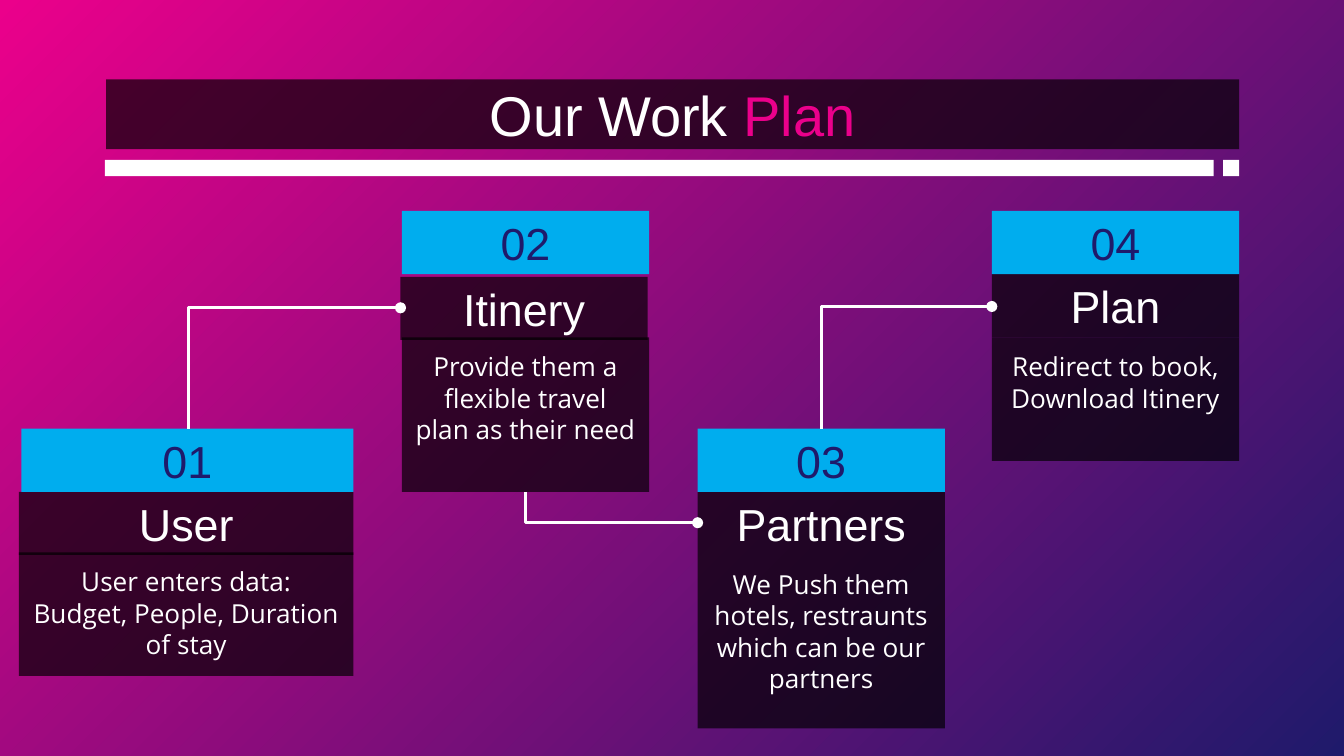
from lxml.etree import SubElement
from pptx import Presentation
from pptx.dml.color import RGBColor
from pptx.enum.shapes import MSO_CONNECTOR, MSO_SHAPE
from pptx.enum.text import MSO_ANCHOR, PP_ALIGN
from pptx.oxml.ns import qn
from pptx.util import Inches, Pt

COLORS = {"pink": "EB008B", "navy": "1F1A6B", "blue": "00ADEE", "white": "FFFFFF", "black": "000000"}


def add_box(left, top, width, height, fill, alpha=None):
    box = slide.shapes.add_shape(
        MSO_SHAPE.RECTANGLE, Inches(left), Inches(top), Inches(width), Inches(height))
    box.shadow.inherit = False
    box.line.fill.background()
    box.fill.solid()
    box.fill.fore_color.rgb = RGBColor.from_string(COLORS[fill])
    if alpha:
        color = box.fill._xPr.find(qn("a:solidFill"))[0]
        SubElement(color, qn("a:alpha")).set("val", str(alpha * 1000))
    return box


def write_text(box, lines, size, font="Arial", color="white", anchor=MSO_ANCHOR.MIDDLE):
    frame = box.text_frame
    frame.word_wrap = True
    frame.vertical_anchor = anchor
    frame.margin_left = frame.margin_right = Inches(0.1)
    frame.margin_top = frame.margin_bottom = Inches(0.1)
    frame.text = lines
    for para in frame.paragraphs:
        para.alignment = PP_ALIGN.CENTER
        for span in para.runs:
            span.font.size = Pt(size)
            span.font.name = font
            span.font.color.rgb = RGBColor.from_string(COLORS[color])


deck = Presentation()
deck.slide_width = Inches(10)
deck.slide_height = Inches(10) * 9 // 16
slide = deck.slides.add_slide(deck.slide_layouts[6])

background = slide.background.fill
background.gradient()
for stop, position, name in zip(background.gradient_stops, (0, 1), ("pink", "navy")):
    stop.position = position
    stop.color.rgb = RGBColor.from_string(COLORS[name])
gradient = slide.background._cSld.find(".//" + qn("a:gradFill"))
gradient.remove(gradient.find(qn("a:lin")))
circle = SubElement(gradient, qn("a:path"))
circle.set("path", "circle")
focus = SubElement(circle, qn("a:fillToRect"))
focus.set("r", "100000")
focus.set("b", "100000")

title = add_box(0.79, 0.59, 8.43, 0.52, "black", 68)
write_text(title, "Our Work ", 30)
accent = title.text_frame.paragraphs[0].add_run()
accent.text = "Plan"
accent.font.size = Pt(30)
accent.font.name = "Arial"
accent.font.color.rgb = RGBColor.from_string(COLORS["pink"])

for left, width in ((0.78, 8.25), (9.1, 0.12)):
    add_box(left, 1.19, width, 0.12, "white")

cards = [
    ("01", "User", "User enters data:\nBudget, People, Duration of stay",
     (0.16, 3.19, 2.47), (0.14, 3.66, 2.49), (0.14, 4.11, 2.49, 0.92)),
    ("02", "Itinery", "Provide them a flexible travel plan as their need",
     (2.99, 1.57, 1.84), (2.98, 2.06, 1.84), (2.99, 2.51, 1.84, 1.15)),
    ("03", "Partners", "We Push them hotels, restraunts which can be our partners",
     (5.19, 3.19, 1.84), (5.19, 3.66, 1.84), (5.19, 4.13, 1.84, 1.29)),
    ("04", "Plan", "Redirect to book,\nDownload Itinery",
     (7.38, 1.57, 1.84), (7.38, 2.04, 1.84), (7.38, 2.51, 1.84, 0.92)),
]
for number, name, details, number_place, name_place, details_place in cards:
    write_text(add_box(*name_place, 0.47, "black", 68), name, 24)
    write_text(add_box(*details_place, "black", 68), details, 14, "Open Sans", anchor=MSO_ANCHOR.TOP)
    write_text(add_box(*number_place, 0.47, "blue"), number, 24, color="navy")

links = [(1.4, 3.19, 2.98, 2.29), (3.91, 3.66, 5.19, 3.89), (6.11, 3.19, 7.38, 2.28)]
for start_x, start_y, end_x, end_y in links:
    middle_x, middle_y = (start_x + end_x) / 2, (start_y + end_y) / 2
    half_rise, half_run = (start_y - end_y) / 2, (end_x - start_x) / 2
    link = slide.shapes.add_connector(
        MSO_CONNECTOR.ELBOW,
        Inches(middle_x - half_rise), Inches(middle_y - half_run),
        Inches(middle_x + half_rise), Inches(middle_y + half_run))
    link.line.color.rgb = RGBColor.from_string(COLORS["white"])
    link.line.width = Pt(1.5)
    properties = link._element.spPr
    properties.find(qn("a:xfrm")).set("rot", str(270 * 60000))
    properties.find(qn("a:prstGeom")).set("prst", "bentConnector2")
    SubElement(properties.find(qn("a:ln")), qn("a:tailEnd")).set("type", "oval")
    SubElement(properties, qn("a:effectLst"))

deck.save("out.pptx")
